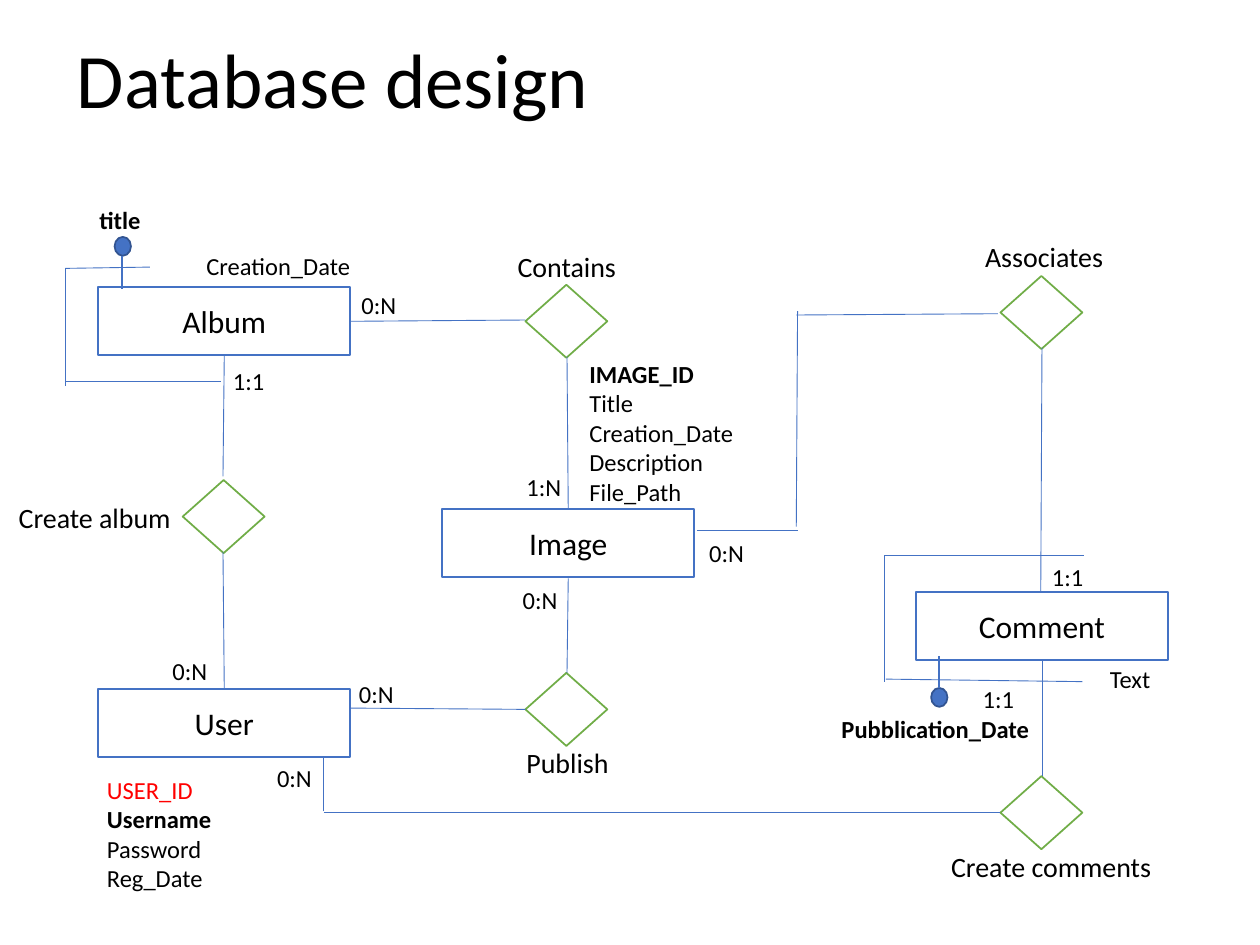
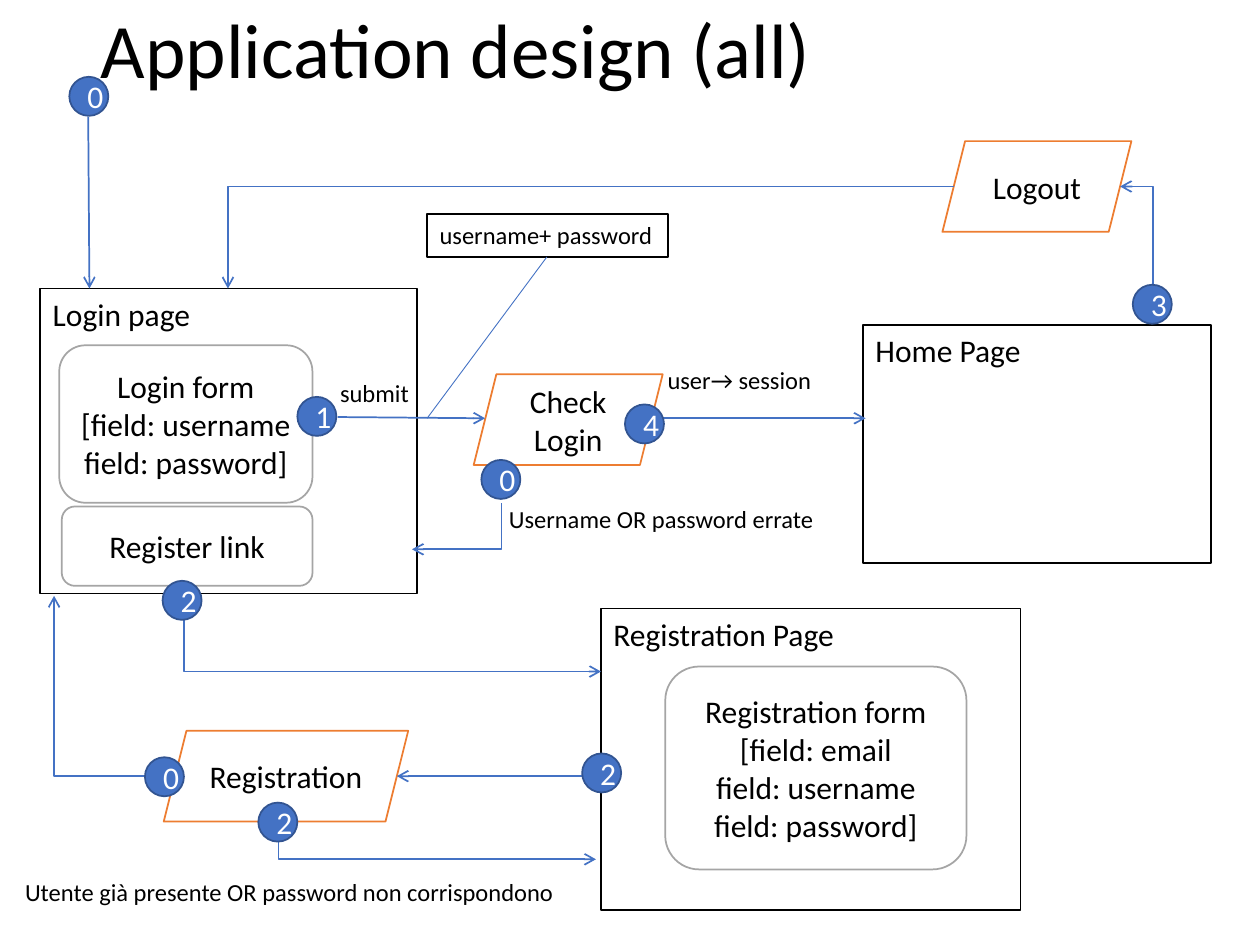
from dataclasses import dataclass
from typing import NamedTuple

from lxml.etree import SubElement
from pptx import Presentation
from pptx.dml.color import RGBColor as Color
from pptx.enum.shapes import MSO_CONNECTOR as Connector, MSO_SHAPE as Preset
from pptx.enum.text import MSO_ANCHOR as Anchor, MSO_AUTO_SIZE as AutoSize, PP_ALIGN as Align
from pptx.oxml.ns import qn
from pptx.util import Emu, Pt

EMU_PER_PX = 9144
TITLE_ONLY_LAYOUT = 5


@dataclass(frozen=True)
class Theme:
    font: str = "Calibri"
    black: Color = Color(0x00, 0x00, 0x00)
    white: Color = Color(0xFF, 0xFF, 0xFF)
    blue: Color = Color(0x44, 0x72, 0xC4)
    navy: Color = Color(0x32, 0x54, 0x91)
    green: Color = Color(0x70, 0xAD, 0x47)
    orange: Color = Color(0xED, 0x7D, 0x31)
    grey: Color = Color(0xA5, 0xA5, 0xA5)
    red: Color = Color(0xFF, 0x00, 0x00)
    title_size: int = 44
    node_size: int = 18
    relation_size: int = 16
    note_size: int = 14
    thin: float = 0.5
    normal: float = 1


THEME = Theme()


class Box(NamedTuple):
    left: int
    top: int
    width: int
    height: int


class NodeStyle(NamedTuple):
    preset: Preset
    line: Color
    fill: Color = THEME.white
    text: Color = THEME.black
    align: Align = Align.CENTER
    anchor: Anchor = Anchor.MIDDLE


ENTITY = NodeStyle(Preset.RECTANGLE, THEME.blue)
RELATION = NodeStyle(Preset.DIAMOND, THEME.green)
DOT = NodeStyle(Preset.OVAL, THEME.navy, THEME.blue, THEME.white)
PAGE = NodeStyle(Preset.RECTANGLE, THEME.black, align=Align.LEFT, anchor=Anchor.TOP)
FORM = NodeStyle(Preset.ROUNDED_RECTANGLE, THEME.grey)
ACTION = NodeStyle(Preset.PARALLELOGRAM, THEME.orange)


@dataclass(frozen=True)
class Node:
    style: NodeStyle
    box: Box
    text: str = ""
    size: int = THEME.node_size
    wrap: bool = True


@dataclass(frozen=True)
class Label:
    text: str
    box: Box
    size: int = THEME.note_size
    wrap: bool = True
    bold_line: int | None = None
    red_line: int | None = None


@dataclass(frozen=True)
class Line:
    start: tuple[int, int]
    end: tuple[int, int]
    width: float = THEME.thin
    arrow: str = ""


@dataclass(frozen=True)
class Elbow:
    """An L-shaped line; each end is named after the leg it closes."""
    horizontal_end: tuple[int, int]
    vertical_end: tuple[int, int]
    arrow: str


def px(length: int) -> Emu:
    return Emu(length * EMU_PER_PX)


def place(box: Box) -> tuple[Emu, ...]:
    return tuple(px(length) for length in box)


def format_paragraph(paragraph, size: int, color: Color, bold: bool = False) -> None:
    for run in paragraph.runs:
        run.font.name = THEME.font
        run.font.size = Pt(size)
        run.font.color.rgb = color
        run.font.bold = bold


def add_titled_slide(presentation, title: str, box: Box):
    slide = presentation.slides.add_slide(presentation.slide_layouts[TITLE_ONLY_LAYOUT])
    shape = slide.shapes.title
    shape.left, shape.top, shape.width, shape.height = place(box)
    shape.text_frame.text = title
    shape.text_frame.vertical_anchor = Anchor.MIDDLE
    paragraph = shape.text_frame.paragraphs[0]
    paragraph.alignment = Align.LEFT
    paragraph.line_spacing = 0.9
    format_paragraph(paragraph, THEME.title_size, THEME.black)
    return slide


def draw_node(slide, node: Node) -> None:
    style = node.style
    shape = slide.shapes.add_shape(style.preset, *place(node.box))
    shape.shadow.inherit = False
    shape.fill.solid()
    shape.fill.fore_color.rgb = style.fill
    shape.line.color.rgb = style.line
    shape.line.width = Pt(THEME.normal)
    frame = shape.text_frame
    frame.word_wrap = node.wrap
    frame.vertical_anchor = style.anchor
    frame.text = node.text
    for paragraph in frame.paragraphs:
        paragraph.alignment = style.align
        format_paragraph(paragraph, node.size, style.text)


def draw_label(slide, label: Label) -> None:
    frame = slide.shapes.add_textbox(*place(label.box)).text_frame
    frame.word_wrap = label.wrap
    frame.auto_size = AutoSize.SHAPE_TO_FIT_TEXT
    frame.text = label.text
    for index, paragraph in enumerate(frame.paragraphs):
        color = THEME.red if index == label.red_line else THEME.black
        format_paragraph(paragraph, label.size, color, index == label.bold_line)


def add_line(slide, kind: Connector, start, end, width: float, arrow: str):
    """Add a connector; arrow is "", "headEnd" (at start) or "tailEnd" (at end)."""
    connector = slide.shapes.add_connector(kind, *place((*start, *end)))
    connector.line.color.rgb = THEME.blue
    connector.line.width = Pt(width)
    properties = connector._element.spPr
    if arrow:
        SubElement(properties.find(qn("a:ln")), qn(f"a:{arrow}"), type="arrow")
    SubElement(properties, qn("a:effectLst"))
    return connector


def draw_line(slide, line: Line) -> None:
    add_line(slide, Connector.STRAIGHT, line.start, line.end, line.width, line.arrow)


def draw_elbow(slide, elbow: Elbow) -> None:
    connector = add_line(slide, Connector.ELBOW, elbow.horizontal_end, elbow.vertical_end,
                         THEME.normal, elbow.arrow)
    geometry = connector._element.spPr.find(qn("a:prstGeom"))
    geometry.set("prst", "bentConnector2")


DRAWERS = {Node: draw_node, Label: draw_label, Line: draw_line, Elbow: draw_elbow}


def draw_all(slide, items: list) -> None:
    for item in items:
        DRAWERS[type(item)](slide, item)


def entity(text: str, left: int, top: int) -> Node:
    return Node(ENTITY, Box(left, top, 200, 54), text)


def relation(left: int, top: int) -> Node:
    return Node(RELATION, Box(left, top, 65, 58))


def relation_name(text: str, left: int, top: int, width: int) -> Label:
    return Label(text, Box(left, top, width, 37), THEME.relation_size)


def cardinality(text: str, left: int, top: int) -> Label:
    return Label(text, Box(left, top, 48, 34), wrap=False)


def key_dot(left: int, top: int) -> Node:
    return Node(DOT, Box(left, top, 13, 15))


def badge(text: str, left: int, top: int) -> Node:
    return Node(DOT, Box(left, top, 31, 31), text)


def note(text: str, left: int, top: int, width: int) -> Label:
    return Label(text, Box(left, top, width, 34), wrap=False)


def arrow_line(start: tuple[int, int], end: tuple[int, int]) -> Line:
    return Line(start, end, THEME.normal, "tailEnd")


DATABASE_DESIGN = [
    entity("User", 78, 547), entity("Album", 78, 228),
    entity("Image", 351, 404), entity("Comment", 727, 470),
    relation(417, 226), relation(417, 534), relation(794, 219),
    relation(794, 616), relation(145, 381),
    relation_name("Create album", 5, 392, 177),
    relation_name("Create comments", 745, 669, 205),
    relation_name("Contains", 401, 193, 220),
    relation_name("Publish", 408, 587, 140),
    relation_name("Associates", 772, 185, 125),
    # Links between entities and relations
    Line((178, 547), (177, 438)), Line((178, 282), (177, 378)),
    Line((278, 255), (417, 254)), Line((450, 283), (451, 404)),
    Line((257, 645), (794, 645)), Line((257, 644), (257, 601)),
    Line((827, 616), (827, 524)), Line((827, 276), (826, 470)),
    Line((553, 421), (633, 421)), Line((633, 247), (632, 418)),
    Line((632, 250), (792, 249)), Line((450, 534), (451, 459)),
    Line((278, 562), (417, 563)),
    # Composite keys of Album and Comment
    Line((175, 303), (52, 303)), Line((52, 306), (52, 213)), Line((119, 212), (52, 213)),
    Line((859, 541), (703, 539)), Line((702, 541), (702, 441)), Line((860, 441), (702, 441)),
    key_dot(91, 188), Line((97, 203), (97, 229), THEME.normal),
    key_dot(739, 546), Line((745, 546), (745, 521), THEME.normal),
    cardinality("0:N", 210, 601), cardinality("0:N", 275, 534),
    cardinality("0:N", 127, 516), cardinality("0:N", 277, 225),
    cardinality("0:N", 553, 422), cardinality("0:N", 405, 459),
    cardinality("1:N", 408, 370), cardinality("1:1", 175, 286),
    cardinality("1:1", 825, 441), cardinality("1:1", 770, 538),
    Label("USER_ID\nUsername\nPassword\nReg_Date", Box(75, 610, 199, 104),
          bold_line=1, red_line=0),
    Label("IMAGE_ID\nTitle\nCreation_Date\nDescription\nFile_Path",
          Box(458, 280, 203, 128), bold_line=0),
    Label("Creation_Date", Box(154, 194, 136, 34)),
    Label("title", Box(69, 158, 71, 34), bold_line=0),
    Label("Pubblication_Date", Box(658, 562, 221, 34), bold_line=0),
    Label("Text", Box(871, 522, 67, 34)),
]

APPLICATION_DESIGN = [
    Node(PAGE, Box(32, 229, 299, 242), "Login page"),
    Node(PAGE, Box(685, 258, 276, 189), "Home Page"),
    Node(PAGE, Box(477, 483, 333, 239), "Registration Page"),
    Node(FORM, Box(47, 274, 201, 125), "Login form\v[field: username\nfield: password]"),
    Node(FORM, Box(49, 402, 199, 63), "Register link"),
    Node(FORM, Box(528, 529, 239, 161),
         "Registration form\v[field: email\nfield: username\nfield: password]"),
    Node(ACTION, Box(376, 297, 150, 72), "Check\vLogin"),
    Node(ACTION, Box(748, 112, 150, 72), "Logout"),
    Node(ACTION, Box(130, 580, 194, 72), "Registration"),
    Node(PAGE, Box(339, 170, 191, 34), "username+ password", THEME.note_size, wrap=False),
    Line((434, 204), (339, 332)),
    arrow_line((70, 93), (71, 229)),
    arrow_line((268, 331), (385, 332)),
    arrow_line((517, 332), (687, 332)),
    arrow_line((478, 616), (315, 616)),
    Elbow((327, 436), (398, 399), "headEnd"),
    Elbow((889, 148), (915, 226), "headEnd"),
    Elbow((757, 148), (181, 229), "tailEnd"),
    Elbow((473, 682), (221, 653), "headEnd"),
    Elbow((139, 616), (43, 473), "tailEnd"),
    Elbow((477, 533), (146, 465), "headEnd"),
    note("submit", 260, 295, 75),
    note("Username OR password errate", 394, 395, 264),
    note("user→ session", 520, 285, 137),
    Label("Utente già presente OR password non corrispondono", Box(10, 691, 462, 34)),
    badge("0", 55, 61), badge("1", 236, 315), badge("4", 496, 321),
    badge("0", 382, 365), badge("3", 899, 226), badge("2", 462, 598),
    badge("2", 205, 637), badge("0", 115, 601), badge("2", 129, 461),
]


def main() -> None:
    presentation = Presentation()
    presentation.slide_width, presentation.slide_height = px(1000), px(750)
    database = add_titled_slide(presentation, "Database design", Box(51, 4, 900, 125))
    draw_all(database, DATABASE_DESIGN)
    application = add_titled_slide(presentation, "Application design (all)",
                                   Box(70, -20, 900, 125))
    draw_all(application, APPLICATION_DESIGN)
    presentation.save("out.pptx")


if __name__ == "__main__":
    main()
